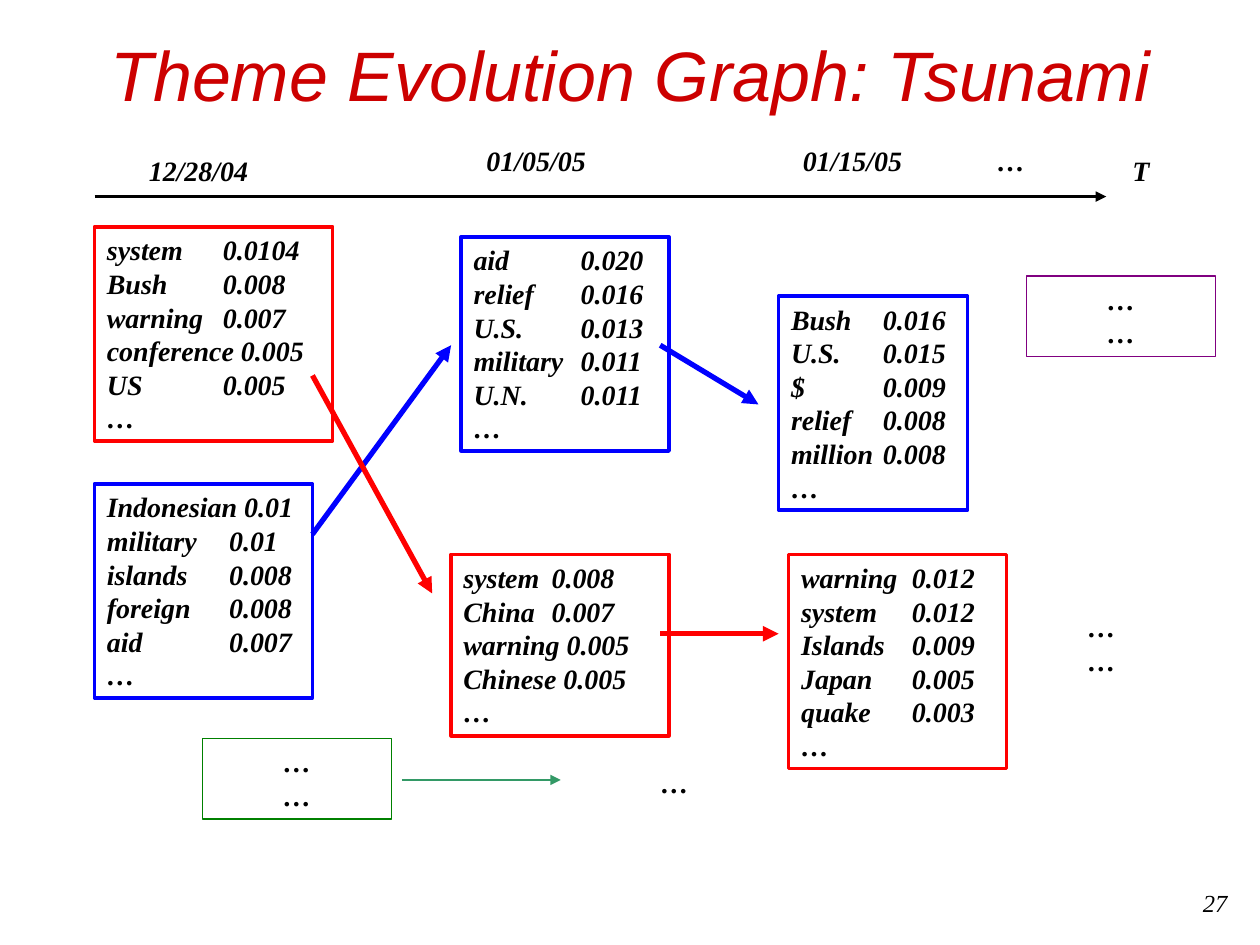
from dataclasses import dataclass

from lxml import etree
from pptx import Presentation
from pptx.dml.color import RGBColor
from pptx.enum.shapes import MSO_CONNECTOR, MSO_SHAPE
from pptx.enum.text import MSO_ANCHOR, PP_ALIGN
from pptx.oxml.ns import qn
from pptx.util import Inches, Pt

LEFT, CENTER, RIGHT = PP_ALIGN.LEFT, PP_ALIGN.CENTER, PP_ALIGN.RIGHT
TOP, MIDDLE = MSO_ANCHOR.TOP, MSO_ANCHOR.MIDDLE
RECTANGLE, STRAIGHT = MSO_SHAPE.RECTANGLE, MSO_CONNECTOR.STRAIGHT

COLUMNS, ROWS = 100, 75
SLIDE_WIDTH, SLIDE_HEIGHT = Inches(10), Inches(7.5)
DOTS = "…"


@dataclass(frozen=True)
class Theme:
    title_font: str = "Arial"
    body_font: str = "Times New Roman"
    title_size: float = 40
    body_size: float = 16
    number_size: float = 14
    frame_line: float = 2
    flow_line: float = 3
    thin_line: float = 0.75
    title: str = "CC0000"
    ink: str = "000000"
    aid: str = "0000FF"
    warning: str = "FF0000"
    green: str = "008000"
    sea_green: str = "339966"
    purple: str = "800080"


THEME = Theme()


@dataclass(frozen=True)
class Area:
    """A block of the grid, in columns and rows."""
    column: float
    row: float
    width: float
    height: float


@dataclass(frozen=True)
class TextStyle:
    font: str = THEME.body_font
    size: float = THEME.body_size
    color: str = THEME.ink
    bold: bool = True
    align: PP_ALIGN = CENTER
    anchor: MSO_ANCHOR = TOP


@dataclass(frozen=True)
class Label:
    area: Area
    lines: tuple[str, ...]
    style: TextStyle = TextStyle()


@dataclass(frozen=True)
class ThemeBox:
    """A framed word list; value_column is the tab stop of the values."""
    area: Area
    lines: tuple[str, ...]
    color: str
    value_column: float = 0
    line_width: float = THEME.frame_line
    align: PP_ALIGN = LEFT


@dataclass(frozen=True)
class Arrow:
    start: tuple[float, float]
    end: tuple[float, float]
    color: str
    width: float = THEME.flow_line


TITLE_STYLE = TextStyle(THEME.title_font, THEME.title_size, THEME.title, False, CENTER, MIDDLE)
NUMBER_STYLE = TextStyle(size=THEME.number_size, bold=False, align=RIGHT)

LABELS = (
    Label(Area(77.6, 70, 20.8, 5), ("27",), NUMBER_STYLE),
    Label(Area(0, 2, 100, 7.7), ("Theme Evolution Graph: Tsunami",), TITLE_STYLE),
    Label(Area(87.8, 11.7, 5.5, 3.7), ("T",)),
    Label(Area(7.5, 11.7, 16.5, 3.7), ("12/28/04",)),
    Label(Area(34.3, 10.9, 16.5, 3.7), ("01/05/05",)),
    Label(Area(59.4, 10.9, 16.5, 3.7), ("01/15/05",)),
    Label(Area(72, 10.9, 16.5, 3.7), (DOTS,)),
    Label(Area(78.4, 47.9, 18.1, 6.4), (DOTS, DOTS)),
    Label(Area(44.5, 60.3, 18.1, 3.7), (DOTS,)),
)

BOXES = (
    ThemeBox(Area(36.6, 18.8, 16.5, 17),
             ("aid\t0.020", "relief\t0.016", "U.S.\t0.013", "military\t0.011",
              "U.N.\t0.011", DOTS), THEME.aid, 8.5),
    ThemeBox(Area(61.8, 23.5, 15, 17),
             ("Bush\t0.016", "U.S.\t0.015", "$\t0.009", "relief\t0.008",
              "million\t0.008", DOTS), THEME.aid, 7.3),
    ThemeBox(Area(7.5, 38.4, 17.3, 17),
             ("Indonesian 0.01", "military\t0.01", "islands\t0.008", "foreign\t0.008",
              "aid\t0.007", DOTS), THEME.aid, 9.7),
    ThemeBox(Area(7.5, 18, 18.9, 17),
             ("system\t0.0104", "Bush\t0.008", "warning\t0.007", "conference 0.005",
              "US\t0.005", DOTS), THEME.warning, 9.2),
    ThemeBox(Area(35.8, 44, 17.3, 14.4),
             ("system\t0.008", "China\t0.007", "warning 0.005", "Chinese 0.005", DOTS),
             THEME.warning, 7),
    ThemeBox(Area(62.6, 44, 17.3, 17),
             ("warning\t0.012", "system\t0.012", "Islands\t0.009", "Japan\t0.005",
              "quake\t0.003", DOTS), THEME.warning, 8.8),
    ThemeBox(Area(16.1, 58.6, 15, 6.4), (DOTS, DOTS), THEME.green,
             line_width=THEME.thin_line, align=CENTER),
    ThemeBox(Area(81.5, 21.9, 15, 6.4), (DOTS, DOTS), THEME.purple,
             line_width=THEME.thin_line, align=CENTER),
)

ARROWS = (
    Arrow((7.5, 15.6), (87.8, 15.6), THEME.ink, THEME.frame_line),
    Arrow((24.8, 42.4), (35.8, 27.4), THEME.aid),
    Arrow((52.4, 27.4), (60.2, 32.1), THEME.aid),
    Arrow((24.8, 29.8), (34.3, 47.1), THEME.warning),
    Arrow((52.4, 50.3), (61.8, 50.3), THEME.warning),
    Arrow((31.9, 61.9), (44.5, 61.9), THEME.sea_green, THEME.thin_line),
)


def across(columns: float) -> int:
    return round(SLIDE_WIDTH * columns / COLUMNS)


def down(rows: float) -> int:
    return round(SLIDE_HEIGHT * rows / ROWS)


def place(area: Area) -> tuple[int, int, int, int]:
    return across(area.column), down(area.row), across(area.width), down(area.height)


def write(frame, lines: tuple[str, ...], style: TextStyle, value_column: float = 0) -> None:
    frame.word_wrap = True
    frame.vertical_anchor = style.anchor
    frame.text = "\n".join(lines)
    for para in frame.paragraphs:
        para.alignment = style.align
        if value_column:
            tabs = etree.SubElement(para._p.get_or_add_pPr(), qn("a:tabLst"))
            etree.SubElement(tabs, qn("a:tab"), pos=str(across(value_column)), algn="l")
        for span in para.runs:
            span.font.name = style.font
            span.font.size = Pt(style.size)
            span.font.bold = style.bold
            span.font.italic = True
            span.font.color.rgb = RGBColor.from_string(style.color)


def draw_label(page, label: Label) -> None:
    box = page.shapes.add_textbox(*place(label.area))
    write(box.text_frame, label.lines, label.style)


def draw_box(page, item: ThemeBox) -> None:
    box = page.shapes.add_shape(RECTANGLE, *place(item.area))
    box.shadow.inherit = False
    box.fill.background()
    box.line.color.rgb = RGBColor.from_string(item.color)
    box.line.width = Pt(item.line_width)
    write(box.text_frame, item.lines, TextStyle(align=item.align), item.value_column)


def draw_arrow(page, arrow: Arrow) -> None:
    (x1, y1), (x2, y2) = arrow.start, arrow.end
    line = page.shapes.add_connector(STRAIGHT, across(x1), down(y1), across(x2), down(y2))
    line.line.color.rgb = RGBColor.from_string(arrow.color)
    line.line.width = Pt(arrow.width)
    etree.SubElement(line.line._get_or_add_ln(), qn("a:tailEnd"), type="triangle")
    etree.SubElement(line._element.spPr, qn("a:effectLst"))


def main() -> None:
    deck = Presentation()
    deck.slide_width, deck.slide_height = SLIDE_WIDTH, SLIDE_HEIGHT
    page = deck.slides.add_slide(deck.slide_layouts[6])
    for label in LABELS:
        draw_label(page, label)
    for box in BOXES:
        draw_box(page, box)
    for arrow in ARROWS:
        draw_arrow(page, arrow)
    deck.save("out.pptx")


if __name__ == "__main__":
    main()
